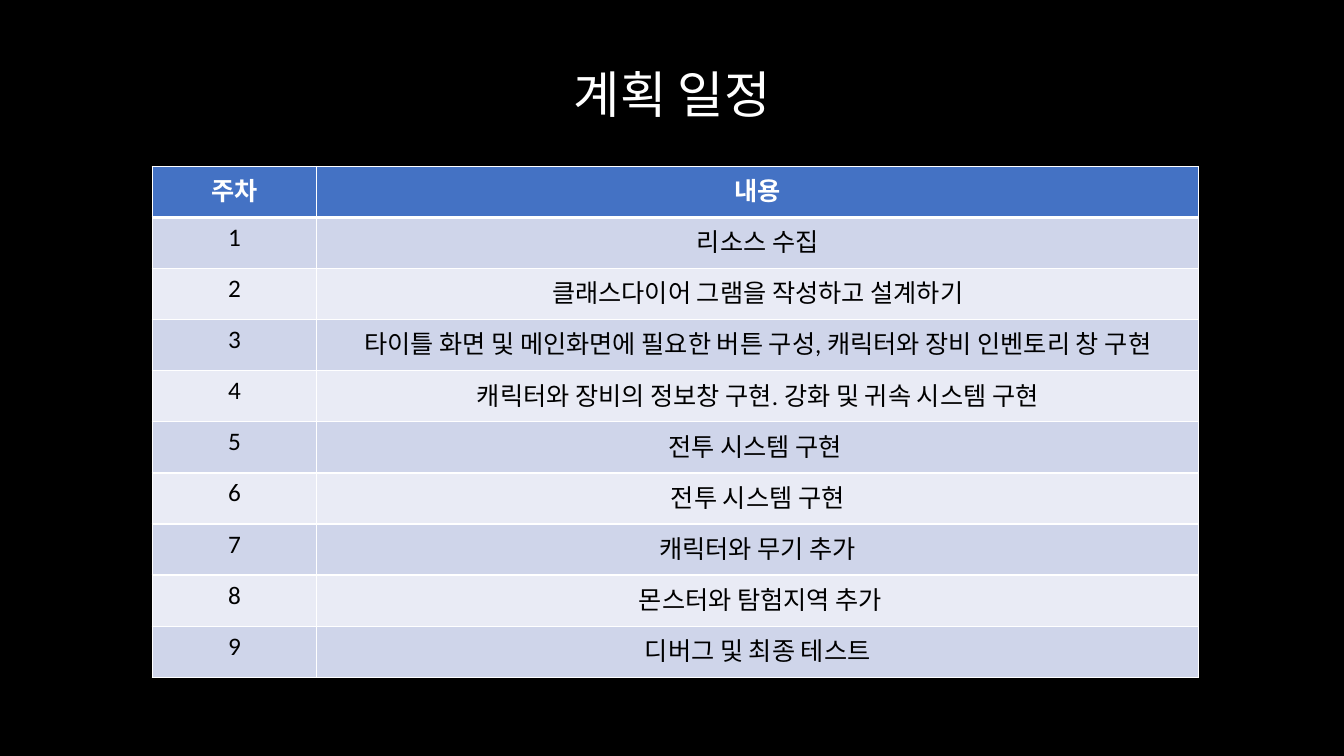
from lxml.etree import SubElement
from pptx import Presentation
from pptx.dml.color import RGBColor
from pptx.enum.text import MSO_ANCHOR, MSO_AUTO_SIZE, PP_ALIGN
from pptx.oxml.ns import qn
from pptx.util import Pt

TITLE = "계획 일정"
HEADER = ("주차", "내용")
TASKS = [
    "리소스 수집",
    "클래스다이어 그램을 작성하고 설계하기",
    "타이틀 화면 및 메인화면에 필요한 버튼 구성, 캐릭터와 장비 인벤토리 창 구현",
    "캐릭터와 장비의 정보창 구현. 강화 및 귀속 시스템 구현",
    "전투 시스템 구현 ",
    "전투 시스템 구현",
    "캐릭터와 무기 추가",
    " 몬스터와 탐험지역 추가",
    "디버그 및 최종 테스트",
]
COLORS = {
    "background": "000000",
    "light_text": "FFFFFF",
    "dark_text": "000000",
    "border": "FFFFFF",
    "header": "4472C4",
    "odd_week": "CFD5EA",
    "even_week": "E9EBF5",
}
FONT = "Calibri"
TABLE_LEFT, TABLE_TOP = 108.8, 118.9
COLUMN_WIDTHS = (117.4, 630)
ROW_HEIGHT = 36.5


def rgb(name):
    return RGBColor.from_string(COLORS[name])


def add_text(tf, text, size, color, bold=False):
    p = tf.paragraphs[0]
    p.alignment = PP_ALIGN.CENTER
    r = p.add_run()
    r.text = text
    r.font.name, r.font.size, r.font.bold = FONT, Pt(size), bold
    r.font.color.rgb = rgb(color)


def add_borders(cell, bottom, top):
    tc_pr = cell._tc.get_or_add_tcPr()
    for side, width in (("L", 1), ("R", 1), ("T", top), ("B", bottom)):
        ln = SubElement(tc_pr, qn(f"a:ln{side}"), w=str(Pt(width)))
        fill = SubElement(ln, qn("a:solidFill"))
        SubElement(fill, qn("a:srgbClr"), val=COLORS["border"])


def add_title(s):
    sp = s.shapes.title
    sp.left, sp.top, sp.width, sp.height = Pt(378), Pt(41.8), Pt(204.5), Pt(51)
    tf = sp.text_frame
    tf.word_wrap = True
    tf.auto_size = MSO_AUTO_SIZE.NONE
    tf.vertical_anchor = MSO_ANCHOR.TOP
    add_text(tf, TITLE, 36, "light_text")


def add_schedule(s):
    rows = [HEADER] + [(str(week), task) for week, task in enumerate(TASKS, 1)]
    table = s.shapes.add_table(
        len(rows), len(HEADER), Pt(TABLE_LEFT), Pt(TABLE_TOP),
        Pt(sum(COLUMN_WIDTHS)), Pt(ROW_HEIGHT * len(rows))).table
    for column, width in zip(table.columns, COLUMN_WIDTHS):
        column.width = Pt(width)
    for week, row in enumerate(rows):
        is_header = week == 0
        band = "header" if is_header else "odd_week" if week % 2 else "even_week"
        for col, text in enumerate(row):
            cell = table.cell(week, col)
            add_borders(cell, bottom=3 if is_header else 1, top=3 if week == 1 else 1)
            cell.fill.solid()
            cell.fill.fore_color.rgb = rgb(band)
            color = "light_text" if is_header else "dark_text"
            add_text(cell.text_frame, text, 18, color, bold=is_header)


def main():
    prs = Presentation()
    prs.slide_width, prs.slide_height = Pt(960), Pt(540)
    s = prs.slides.add_slide(prs.slide_layouts[5])
    s.background.fill.solid()
    s.background.fill.fore_color.rgb = rgb("background")
    add_title(s)
    add_schedule(s)
    prs.save("out.pptx")


if __name__ == "__main__":
    main()
